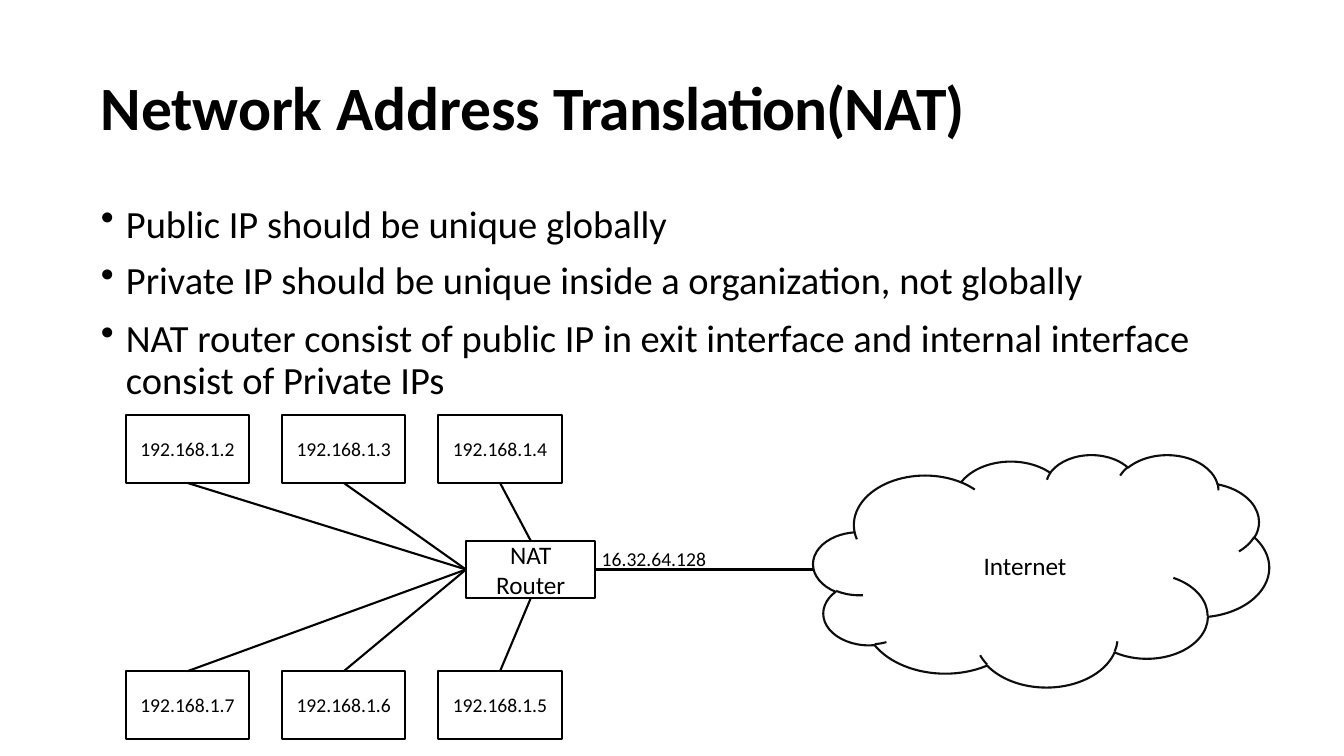
from lxml import etree
from pptx import Presentation
from pptx.dml.color import RGBColor
from pptx.enum.shapes import MSO_CONNECTOR, MSO_SHAPE
from pptx.enum.text import MSO_ANCHOR, PP_ALIGN
from pptx.oxml.ns import qn
from pptx.util import Pt

RECTANGLE, CLOUD = MSO_SHAPE.RECTANGLE, MSO_SHAPE.CLOUD
STRAIGHT = MSO_CONNECTOR.STRAIGHT
LEFT, CENTER = PP_ALIGN.LEFT, PP_ALIGN.CENTER
TOP, MIDDLE = MSO_ANCHOR.TOP, MSO_ANCHOR.MIDDLE
TOP_SITE, LEFT_SITE, BOTTOM_SITE, RIGHT_SITE = range(4)

FONT = "Calibri"
BLACK, CLOUD_LINE = "000000", "0D0D0D"

# (text, letter spacing in points)
TITLE = [("Network Address ", -0.1), ("Translation(NAT)", -0.7)]
# (text, space before, line spacing)
BULLETS = [
    ("Public IP should be unique globally", 8.6, 1.0),
    ("Private IP should be unique inside a organization, not globally", 7.5, 1.0),
    ("NAT router consist of public IP in exit interface and internal interface "
     "consist of Private IPs", 11.1, Pt(30)),
]
# (addresses from left to right, top of the row, site on host, sites on router)
HOST_ROWS = [
    (["192.168.1.2", "192.168.1.3", "192.168.1.4"], 296.6, BOTTOM_SITE,
     [LEFT_SITE, LEFT_SITE, TOP_SITE]),
    (["192.168.1.7", "192.168.1.6", "192.168.1.5"], 479.4, TOP_SITE,
     [LEFT_SITE, LEFT_SITE, BOTTOM_SITE]),
]
ROUTER = ["NAT", "Router"]
PUBLIC_IP = "16.32.64.128"
INTERNET = "Internet"

HOST_LEFT, HOST_STEP, HOST_WIDTH, HOST_HEIGHT = 90, 111.6, 88, 48.4
ROUTER_AREA = (332.9, 386.2, 92.4, 41.2)
CLOUD_AREA = (581, 324.6, 325.5, 166)
BULLET_INDENT = 18


def color(hex_code):
    """Turn a hex string into a colour."""
    return RGBColor.from_string(hex_code)


def place(area):
    """Turn left, top, width and height in points into lengths."""
    return [Pt(length) for length in area]


def set_frame(frame, anchor, top_margin=0):
    """Set wrapping, anchor and margins of a text frame."""
    frame.word_wrap = True
    frame.vertical_anchor = anchor
    frame.margin_left = frame.margin_right = frame.margin_bottom = 0
    frame.margin_top = Pt(top_margin)


def style(paragraph, size, align, bold=False):
    """Set font and alignment of a paragraph."""
    paragraph.alignment = align
    font = paragraph.font
    font.name, font.size, font.bold = FONT, Pt(size), bold
    font.color.rgb = color(BLACK)


def write(frame, lines, size, align=CENTER):
    """Write one paragraph per line and return the paragraphs."""
    frame.text = "\n".join(lines)
    for paragraph in frame.paragraphs:
        style(paragraph, size, align)
    return frame.paragraphs


def add_node(kind, area, lines, size, line_color=BLACK):
    """Add an outlined shape with centred text."""
    node = slide.shapes.add_shape(kind, *place(area))
    node.shadow.inherit = False
    node.fill.background()
    node.line.color.rgb = color(line_color)
    node.line.width = Pt(1.5)
    set_frame(node.text_frame, MIDDLE)
    write(node.text_frame, lines, size)
    return node


def add_link(start, start_site, end=None, end_site=None, end_point=(0, 0)):
    """Link a node to a site of another node, or to a point."""
    link = slide.shapes.add_connector(STRAIGHT, 0, 0, *place(end_point))
    link.begin_connect(start, start_site)
    if end is not None:
        link.end_connect(end, end_site)
    link.line.color.rgb = color(BLACK)
    link.line.width = Pt(1.5)
    etree.SubElement(link._element.spPr, qn("a:effectLst"))


def add_bullet(paragraph):
    """Give a paragraph a bullet and a hanging indent."""
    properties = paragraph._p.get_or_add_pPr()
    properties.set("marL", str(Pt(BULLET_INDENT)))
    properties.set("indent", str(-Pt(BULLET_INDENT)))
    bullet = etree.Element(qn("a:buChar"), char="•")
    properties.find(qn("a:defRPr")).addprevious(bullet)


presentation = Presentation()
presentation.slide_width, presentation.slide_height = Pt(960), Pt(540)
slide = presentation.slides.add_slide(presentation.slide_layouts[5])

title = slide.shapes.title
title.left, title.top, title.width, title.height = place((72, 48, 720, 55.4))
set_frame(title.text_frame, TOP, 1.4)
heading = title.text_frame.paragraphs[0]
style(heading, 44, LEFT, bold=True)
for words, spacing in TITLE:
    run = heading.add_run()
    run.text = words
    run.font._element.set("spc", str(round(spacing * 100)))

body = slide.shapes.add_textbox(*place((72, 134, 792, 154))).text_frame
set_frame(body, TOP, 8.6)
points = write(body, [words for words, _, _ in BULLETS], 27.5, LEFT)
for point, (_, before, line_spacing) in zip(points, BULLETS):
    point.space_before = Pt(before)
    point.line_spacing = line_spacing
    add_bullet(point)

router = add_node(RECTANGLE, ROUTER_AREA, ROUTER, 18)
for paragraph in router.text_frame.paragraphs:
    paragraph.line_spacing = Pt(21.4)

for addresses, top, host_site, router_sites in HOST_ROWS:
    for column, (address, router_site) in enumerate(zip(addresses, router_sites)):
        area = (HOST_LEFT + column * HOST_STEP, top, HOST_WIDTH, HOST_HEIGHT)
        host = add_node(RECTANGLE, area, [address], 14)
        add_link(host, host_site, router, router_site)

add_node(CLOUD, CLOUD_AREA, [INTERNET], 18, CLOUD_LINE)
router_middle = ROUTER_AREA[1] + ROUTER_AREA[3] / 2
add_link(router, RIGHT_SITE, end_point=(CLOUD_AREA[0], router_middle))

public_label = slide.shapes.add_textbox(*place((429.8, 389.5, 84, 19.4))).text_frame
set_frame(public_label, TOP, 1.4)
write(public_label, [PUBLIC_IP], 14, LEFT)

presentation.save("out.pptx")
